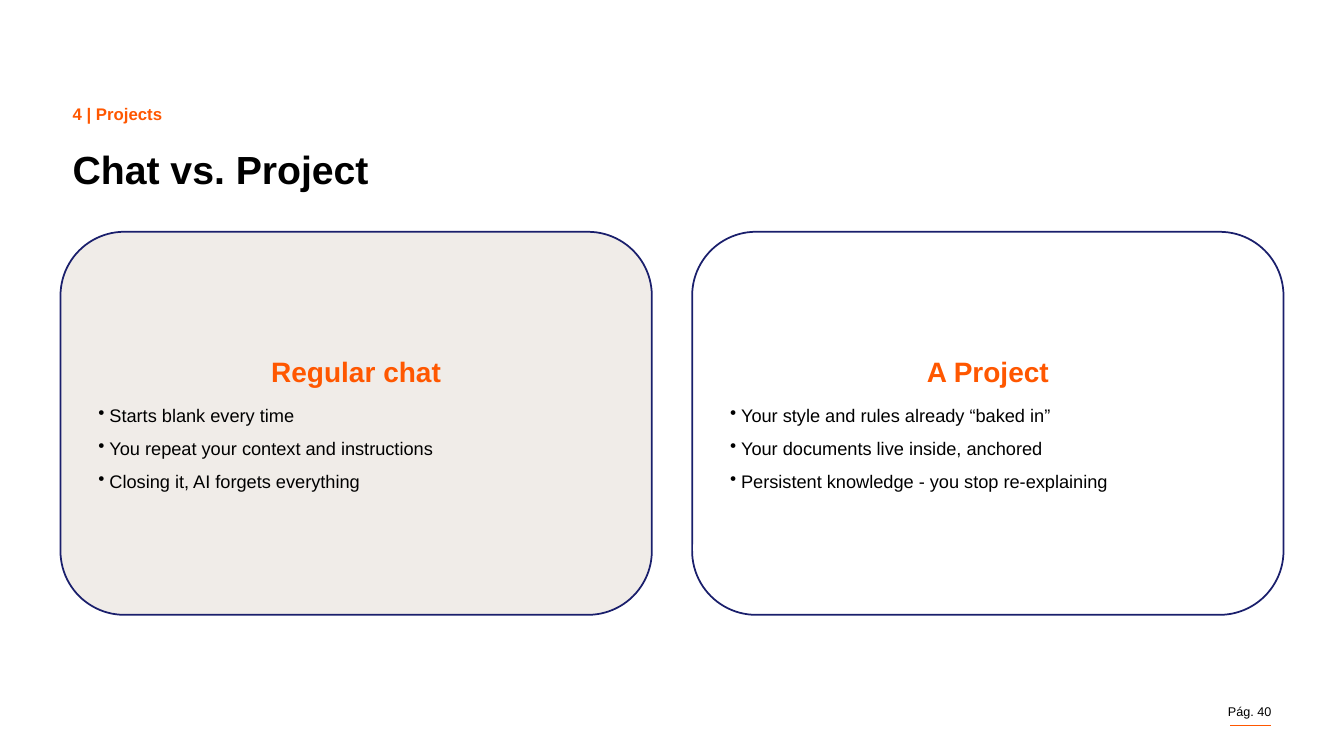
from pptx import Presentation
from pptx import util as u
from pptx.dml.color import RGBColor
from pptx.enum import shapes, text
from pptx.oxml.xmlchemy import OxmlElement

WIDTH, HEIGHT = 13.33, 7.5
MARGIN, GAP = 0.6, 0.4
TEXT_LEFT, TEXT_RIGHT = 0.72, 12.61
CARD_TOP, CARD_HEIGHT = 2.3, 3.8
CARD_WIDTH = (WIDTH - 2 * MARGIN - GAP) / 2
BULLET_INDENT = 0.11
ORANGE, NAVY, BLACK, WHITE, SAND = "FF5700", "1A1F6C", "000000", "FFFFFF", "F0ECE8"

CARDS = [
    ("Regular chat", SAND, [
        "Starts blank every time",
        "You repeat your context and instructions",
        "Closing it, AI forgets everything",
    ]),
    ("A Project", WHITE, [
        "Your style and rules already “baked in”",
        "Your documents live inside, anchored",
        "Persistent knowledge - you stop re-explaining",
    ]),
]


def colour(value):
    return RGBColor.from_string(value)


def place(item, left, top, width, height):
    item.left, item.top = u.Inches(left), u.Inches(top)
    item.width, item.height = u.Inches(width), u.Inches(height)


def set_frame(frame, inset, anchor):
    frame.word_wrap = True
    frame.auto_size = text.MSO_AUTO_SIZE.NONE
    frame.vertical_anchor = anchor
    frame.margin_left = frame.margin_right = u.Inches(inset)
    frame.margin_top = frame.margin_bottom = u.Inches(inset)


def set_bullet(para, mark=None):
    """Give the paragraph a hanging bullet, or none at all."""
    properties = para._p.get_or_add_pPr()
    indent = u.Inches(BULLET_INDENT) if mark else 0
    properties.set("marL", str(indent))
    properties.set("indent", str(-indent))
    bullet = OxmlElement("a:buChar" if mark else "a:buNone")
    if mark:
        bullet.set("char", mark)
    properties.append(bullet)


def write(para, words, size, ink, bold=False, align=text.PP_ALIGN.LEFT, after=0):
    para.alignment = align
    para.space_before, para.space_after = u.Pt(0), u.Pt(after)
    span = para.add_run()
    span.text = words
    span.font.name, span.font.size, span.font.bold = "Arial", u.Pt(size), bold
    span.font.color.rgb = colour(ink)


def add_headings(page):
    title, section = page.shapes.title, page.placeholders[1]
    place(title, TEXT_LEFT, 1.49, TEXT_RIGHT - TEXT_LEFT, 0.42)
    set_frame(title.text_frame, 0, text.MSO_ANCHOR.TOP)
    para = title.text_frame.paragraphs[0]
    write(para, "Chat vs. Project", 28, BLACK, bold=True)
    para.line_spacing = 0.9

    place(section, TEXT_LEFT, 1.03, 1.92, 0.22)
    set_frame(section.text_frame, 0, text.MSO_ANCHOR.TOP)
    para = section.text_frame.paragraphs[0]
    set_bullet(para)
    write(para, "4 | Projects", 12, ORANGE, bold=True)


def add_card(page, column, heading, fill, points):
    left = MARGIN + column * (CARD_WIDTH + GAP)
    card = page.shapes.add_shape(
        shapes.MSO_SHAPE.ROUNDED_RECTANGLE, u.Inches(left), u.Inches(CARD_TOP),
        u.Inches(CARD_WIDTH), u.Inches(CARD_HEIGHT))
    card.shadow.inherit = False
    card.fill.solid()
    card.fill.fore_color.rgb = colour(fill)
    card.line.color.rgb = colour(NAVY)
    card.line.width = u.Pt(1.25)

    frame = card.text_frame
    set_frame(frame, 0.19, text.MSO_ANCHOR.MIDDLE)
    write(frame.paragraphs[0], heading, 20, ORANGE, bold=True,
          align=text.PP_ALIGN.CENTER, after=12)
    for point in points:
        para = frame.add_paragraph()
        set_bullet(para, "•")
        write(para, point, 13, BLACK, after=8)


def add_page_number(page):
    width = 0.77
    box = page.shapes.add_textbox(
        u.Inches(TEXT_RIGHT - width), u.Inches(6.98), u.Inches(width), u.Inches(0.15))
    set_frame(box.text_frame, 0, text.MSO_ANCHOR.TOP)
    write(box.text_frame.paragraphs[0], "Pág. 40", 9, BLACK, align=text.PP_ALIGN.RIGHT)

    rule = page.shapes.add_connector(
        shapes.MSO_CONNECTOR.STRAIGHT, u.Inches(12.2), u.Inches(7.2),
        u.Inches(TEXT_RIGHT), u.Inches(7.2))
    rule.line.color.rgb = colour(ORANGE)
    rule.line.width = u.Pt(0.5)
    rule._element.spPr.append(OxmlElement("a:effectLst"))


def main():
    deck = Presentation()
    deck.slide_width, deck.slide_height = u.Inches(WIDTH), u.Inches(HEIGHT)
    page = deck.slides.add_slide(deck.slide_layouts[1])

    # Title and section label
    add_headings(page)

    # Side-by-side comparison
    for column, (heading, fill, points) in enumerate(CARDS):
        add_card(page, column, heading, fill, points)

    # Footer
    add_page_number(page)
    deck.save("out.pptx")


if __name__ == "__main__":
    main()
